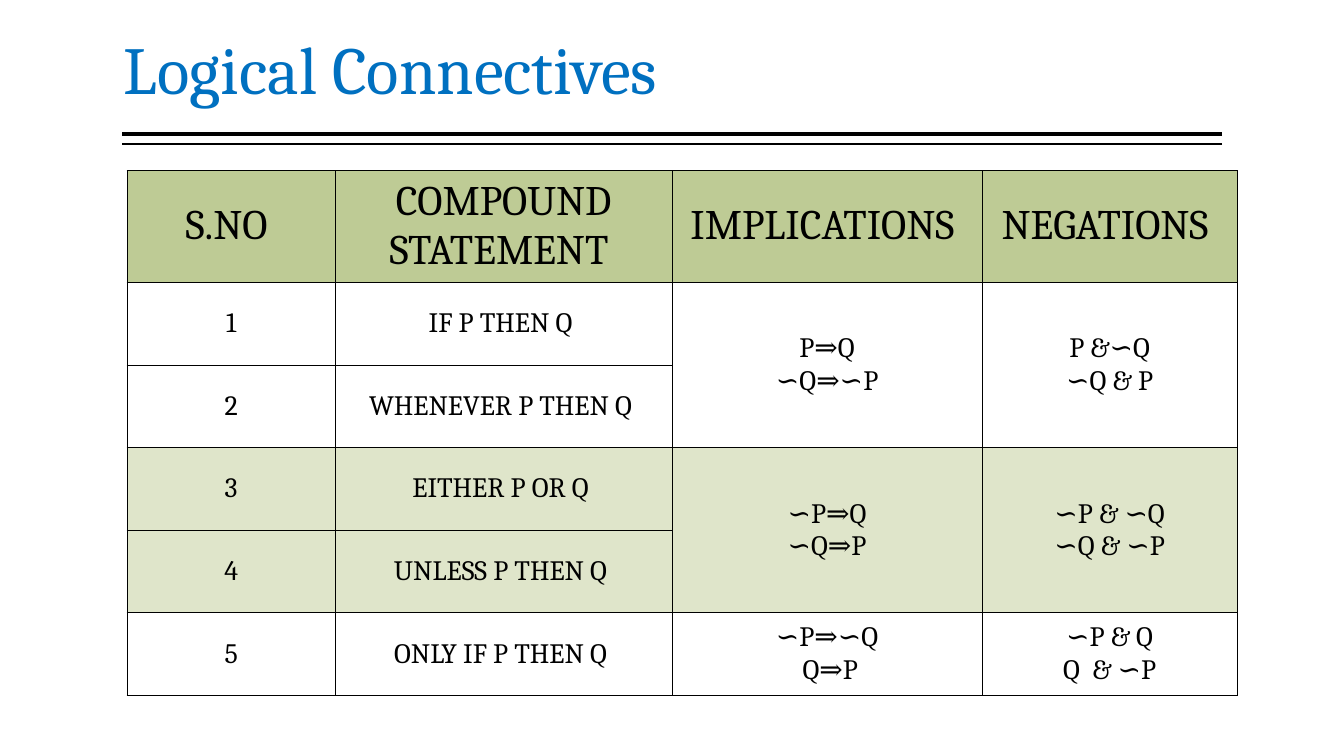
import pptx
import pptx.dml.color
import pptx.enum.text
import pptx.oxml
import pptx.oxml.ns
import pptx.util
from dataclasses import dataclass

Inches = pptx.util.Inches
Pt = pptx.util.Pt
Color = pptx.dml.color.RGBColor.from_string
Align = pptx.enum.text.PP_ALIGN
Anchor = pptx.enum.text.MSO_ANCHOR


@dataclass(frozen=True)
class Theme:
    font: str = "Cambria"
    title: str = "0070C0"
    ink: str = "000000"
    header: str = "BECB95"
    band: str = "DFE5CA"
    plain: str = "FFFFFF"
    title_size: int = 48
    header_size: int = 30
    body_size: int = 20
    border: float = 0.45


theme = Theme()


def format_text(frame, margin, align, size, color):
    settings = {
        "margin_left": Inches(margin),
        "margin_right": Inches(margin),
        "margin_top": Inches(0.05),
        "margin_bottom": Inches(0.05),
        "word_wrap": True,
    }
    for name, value in settings.items():
        setattr(frame, name, value)
    for para in frame.paragraphs:
        para.alignment = align
        for span in para.runs:
            for name, value in {"name": theme.font, "size": Pt(size), "bold": False}.items():
                setattr(span.font, name, value)
            span.font.color.rgb = Color(color)


def add_borders(cell):
    properties = cell._tc.get_or_add_tcPr()
    for side in ("lnL", "lnR", "lnT", "lnB"):
        properties.append(pptx.oxml.parse_xml(
            f'<a:{side} {pptx.oxml.ns.nsdecls("a")} w="{Pt(theme.border)}">'
            f'<a:solidFill><a:srgbClr val="{theme.ink}"/></a:solidFill></a:{side}>'
        ))


deck = pptx.Presentation()
deck.slide_width = Inches(13.34)
deck.slide_height = Inches(7.5)
page = deck.slides.add_slide(deck.slide_layouts[5])

for height, weight in ((1.33, 3), (1.43, 1)):
    rule = page.shapes.add_connector(
        pptx.enum.shapes.MSO_CONNECTOR.STRAIGHT,
        Inches(12.13), Inches(height), Inches(1.21), Inches(height),
    )
    rule.line.width = Pt(weight)
    rule.line.color.rgb = Color(theme.ink)
    rule._element.spPr.append(pptx.oxml.parse_xml(
        f'<a:effectLst {pptx.oxml.ns.nsdecls("a")}/>'
    ))

title = page.shapes.title
for name, value in {"left": 1.23, "top": 0.3, "width": 9.83, "height": 0.85}.items():
    setattr(title, name, Inches(value))
title.text_frame.text = "Logical Connectives"
title.text_frame.vertical_anchor = Anchor.MIDDLE
title.text_frame.auto_size = pptx.enum.text.MSO_AUTO_SIZE.NONE
title.text_frame.paragraphs[0].line_spacing = 0.9
format_text(title.text_frame, 0, Align.LEFT, theme.title_size, theme.title)

rows = [
    ["S.NO ", "COMPOUND STATEMENT ", "IMPLICATIONS ", "NEGATIONS "],
    ["1", "IF P THEN Q ", "P⇒Q\v∽Q⇒∽P", "P &∽Q\v∽Q & P"],
    ["2", "WHENEVER P THEN Q ", "", ""],
    ["3", "EITHER P OR Q ", "∽P⇒Q\v∽Q⇒P", "∽P & ∽Q\v∽Q & ∽P"],
    ["4", "UNLESS P THEN Q ", "", ""],
    ["5", "ONLY IF P THEN Q ", "∽P⇒∽Q\v Q⇒P", "∽P & Q\vQ  & ∽P"],
]
row_fills = [theme.header] + [theme.plain] * 2 + [theme.band] * 2 + [theme.plain]
row_heights = [1.11] + [0.82] * 5
column_widths = [2.07, 3.34, 3.08, 2.53]

table = page.shapes.add_table(
    len(rows), len(column_widths),
    Inches(1.26), Inches(1.69), Inches(sum(column_widths)), Inches(sum(row_heights)),
).table
table.first_row = False
table.horz_banding = False
for column, width in zip(table.columns, column_widths):
    column.width = Inches(width)

for row_index, texts in enumerate(rows):
    table.rows[row_index].height = Inches(row_heights[row_index])
    size = theme.body_size if row_index else theme.header_size
    for column_index, text in enumerate(texts):
        cell = table.cell(row_index, column_index)
        cell.text_frame.text = text
        cell.vertical_anchor = Anchor.MIDDLE
        format_text(cell.text_frame, 0.01, Align.CENTER, size, theme.ink)
        add_borders(cell)
        cell.fill.solid()
        cell.fill.fore_color.rgb = Color(row_fills[row_index])

for first_row in (1, 3):
    for column_index in (2, 3):
        table.cell(first_row, column_index).merge(table.cell(first_row + 1, column_index))

deck.save("out.pptx")
